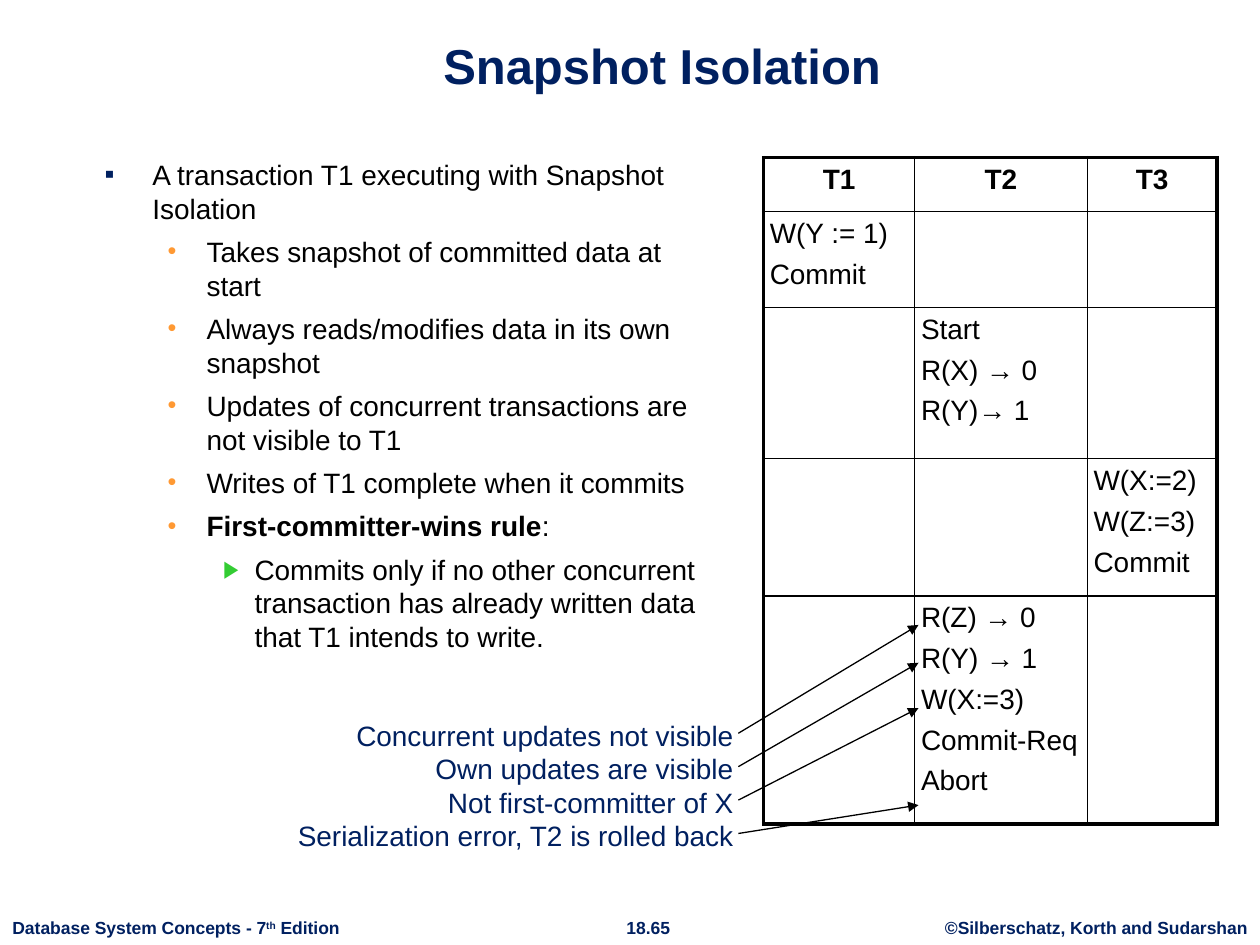
from lxml.etree import SubElement
from pptx import Presentation
from pptx.dml.color import RGBColor
from pptx.enum.shapes import MSO_CONNECTOR
from pptx.enum.text import MSO_ANCHOR as Anchor, MSO_AUTO_SIZE as AutoSize, PP_ALIGN as Align
from pptx.oxml import parse_xml
from pptx.oxml.ns import nsdecls, qn
from pptx.util import Inches, Pt

COLORS = {"navy": "002060", "black": "000000", "orange": "FF9933", "green": "33CC33"}
BULLETS = [
    ("▪", "navy", 100, 0.38, 0.38),
    ("•", "orange", 90, 0.81, 0.31),
    ("▶", "green", 85, 1.19, 0.25),
]
POINTS = [
    (0, "A transaction T1 executing with Snapshot Isolation"),
    (1, "Takes snapshot of committed data at start"),
    (1, "Always reads/modifies data in its own snapshot"),
    (1, "Updates of concurrent transactions are not visible to T1"),
    (1, "Writes of T1 complete when it commits"),
    (1, "First-committer-wins rule", ":"),
    (2, "Commits only if no other concurrent transaction has already "
        "written data that T1 intends to write."),
]
SCHEDULE = [
    [["T1"], ["T2"], ["T3"]],
    [["W(Y := 1)", "Commit"], [], []],
    [[], ["Start", "R(X) → 0", "R(Y)→ 1"], []],
    [[], [], ["W(X:=2)", "W(Z:=3)", "Commit"]],
    [[], ["R(Z) → 0", "R(Y) → 1", "W(X:=3)", "Commit-Req", "Abort"], []],
]
COLUMN_WIDTHS = [1.2, 1.37, 1.03]
ROW_HEIGHTS = [0.43, 0.76, 1.2, 1.09, 1.81]
REMARKS = [
    ("Concurrent updates not visible", 4.96),
    ("Own updates are visible", 5.26),
    ("Not first-committer of X", 5.62),
    ("Serialization error, T2 is rolled back", 6.39),
]


def format_paragraph(paragraph, size, color, bold=False, align=Align.LEFT):
    """Set the font and alignment of a paragraph."""
    font = paragraph.font
    font.name, font.size, font.bold = "Arial", Pt(size), bold
    font.color.rgb = RGBColor.from_string(COLORS[color])
    paragraph.alignment = align


def add_bullet(paragraph, level):
    """Give a paragraph the bullet and indent of its level."""
    character, color, size, margin, hanging = BULLETS[level]
    properties = paragraph._p.get_or_add_pPr()
    properties.set("marL", str(Inches(margin)))
    properties.set("indent", str(-Inches(hanging)))
    bullet_color = SubElement(properties, qn("a:buClr"))
    SubElement(bullet_color, qn("a:srgbClr"), val=COLORS[color])
    SubElement(properties, qn("a:buSzPct"), val=str(size * 1000))
    SubElement(properties, qn("a:buFont"), typeface="Arial")
    SubElement(properties, qn("a:buChar"), char=character)


def place(shape, left, top, width, height):
    """Move a placeholder into a box given in inches."""
    shape.left, shape.top = Inches(left), Inches(top)
    shape.width, shape.height = Inches(width), Inches(height)
    shape.text_frame.auto_size = AutoSize.NONE


def fill_title(title, box):
    """Write the slide title."""
    place(title, *box)
    title.text_frame.text = "Snapshot Isolation"
    title.text_frame.vertical_anchor = Anchor.BOTTOM
    format_paragraph(title.text_frame.paragraphs[0], 28, "navy", True, Align.CENTER)


def fill_body(body, box):
    """Write the bulleted list."""
    place(body, *box)
    frame = body.text_frame
    frame.vertical_anchor = Anchor.TOP
    for index, (level, *texts) in enumerate(POINTS):
        paragraph = frame.add_paragraph() if index else frame.paragraphs[0]
        paragraph.level = level
        for text in texts:
            paragraph.add_run().text = text
        format_paragraph(paragraph, 16, "black")
        paragraph.line_spacing = Pt(19.2)
        paragraph.space_before = Pt(5.6 if index else 0)
        add_bullet(paragraph, level)
        if len(texts) > 1:
            paragraph.runs[0].font.bold = True


def set_borders(cell, outer_sides):
    """Draw thick lines on the outer sides of a cell and thin ones elsewhere."""
    properties = cell._tc.get_or_add_tcPr()
    for index, side in enumerate("LRTB"):
        width = Pt(2.25 if side in outer_sides else 1)
        properties.insert(index, parse_xml(
            f'<a:ln{side} {nsdecls("a")} w="{width}"><a:solidFill>'
            f'<a:srgbClr val="{COLORS["black"]}"/></a:solidFill></a:ln{side}>'))


def fill_cell(cell, lines, header):
    """Write the operations of one cell."""
    cell.margin_left = cell.margin_right = Inches(0.05)
    cell.margin_top = cell.margin_bottom = Inches(0.05)
    cell.fill.background()
    frame = cell.text_frame
    frame.text = "\n".join(lines)
    for index, paragraph in enumerate(frame.paragraphs):
        format_paragraph(paragraph, 16, "black", header, Align.CENTER if header else Align.LEFT)
        paragraph.line_spacing = Pt(18)
        paragraph.space_before = Pt(5.3 if index else 0)


def add_schedule(slide, left, top):
    """Add the table of interleaved transactions."""
    row_count, column_count = len(ROW_HEIGHTS), len(COLUMN_WIDTHS)
    table = slide.shapes.add_table(
        row_count, column_count, Inches(left), Inches(top),
        Inches(sum(COLUMN_WIDTHS)), Inches(sum(ROW_HEIGHTS))).table
    table.first_row = table.horz_banding = False
    for column, width in zip(table.columns, COLUMN_WIDTHS):
        column.width = Inches(width)
    for row, height in zip(table.rows, ROW_HEIGHTS):
        row.height = Inches(height)
    for row, contents in enumerate(SCHEDULE):
        for column, lines in enumerate(contents):
            cell = table.cell(row, column)
            fill_cell(cell, lines, row == 0)
            edges = {"L": column == 0, "R": column == column_count - 1,
                     "T": row == 0, "B": row == row_count - 1}
            set_borders(cell, [side for side, is_outer in edges.items() if is_outer])


def add_text_box(slide, left, top, width, height):
    """Add an unwrapped text box and return its frame."""
    frame = slide.shapes.add_textbox(
        Inches(left), Inches(top), Inches(width), Inches(height)).text_frame
    frame.word_wrap = False
    return frame


def add_arrow(slide, start, end):
    """Add a thin arrow between two points in inches."""
    arrow = slide.shapes.add_connector(MSO_CONNECTOR.STRAIGHT, *map(Inches, start + end))
    arrow.line.color.rgb = RGBColor.from_string(COLORS["black"])
    arrow.line.width = Pt(0.75)
    SubElement(arrow.line._get_or_add_ln(), qn("a:tailEnd"), type="triangle")
    SubElement(arrow._element.spPr, qn("a:effectLst"))


def add_remarks(slide, left, top, width, height):
    """Add the remarks and an arrow from each to its operation."""
    frame = add_text_box(slide, left, top, width, height)
    frame.text = "\n".join(text for text, _ in REMARKS)
    for index, (paragraph, (_, target)) in enumerate(zip(frame.paragraphs, REMARKS)):
        format_paragraph(paragraph, 16, "navy", align=Align.RIGHT)
        paragraph.line_spacing = Pt(19.2)
        start = (left + width - 0.06, top + 0.17 + 0.265 * index)
        add_arrow(slide, start, (left + width + 1.37, target))


def add_footer(slide, top, height):
    """Add the book title, page number and authors along the bottom."""
    parts = [
        (0, 2.81, Align.LEFT, ["Database System Concepts - 7", "th", " Edition"]),
        (4.86, 0.57, Align.CENTER, ["18.65"]),
        (7.4, 2.6, Align.CENTER, ["©Silberschatz, Korth and Sudarshan"]),
    ]
    for left, width, align, texts in parts:
        paragraph = add_text_box(slide, left, top, width, height).paragraphs[0]
        format_paragraph(paragraph, 10, "navy", True, align)
        for text in texts:
            run = paragraph.add_run()
            run.text = text
            if text == "th":
                run._r.get_or_add_rPr().set("baseline", "30000")


def main():
    """Build and save the slide."""
    presentation = Presentation()
    presentation.slide_width, presentation.slide_height = Inches(10), Inches(7.5)
    slide = presentation.slides.add_slide(presentation.slide_layouts[1])
    add_footer(slide, 7.23, 0.27)
    fill_title(slide.shapes.title, (0.84, 0.13, 8.83, 0.67))
    fill_body(slide.placeholders[1], (0.73, 1.2, 5, 5.79))
    add_schedule(slide, 6.06, 1.25)
    add_remarks(slide, 2.24, 5.65, 3.68, 1.17)
    presentation.save("out.pptx")


if __name__ == "__main__":
    main()
